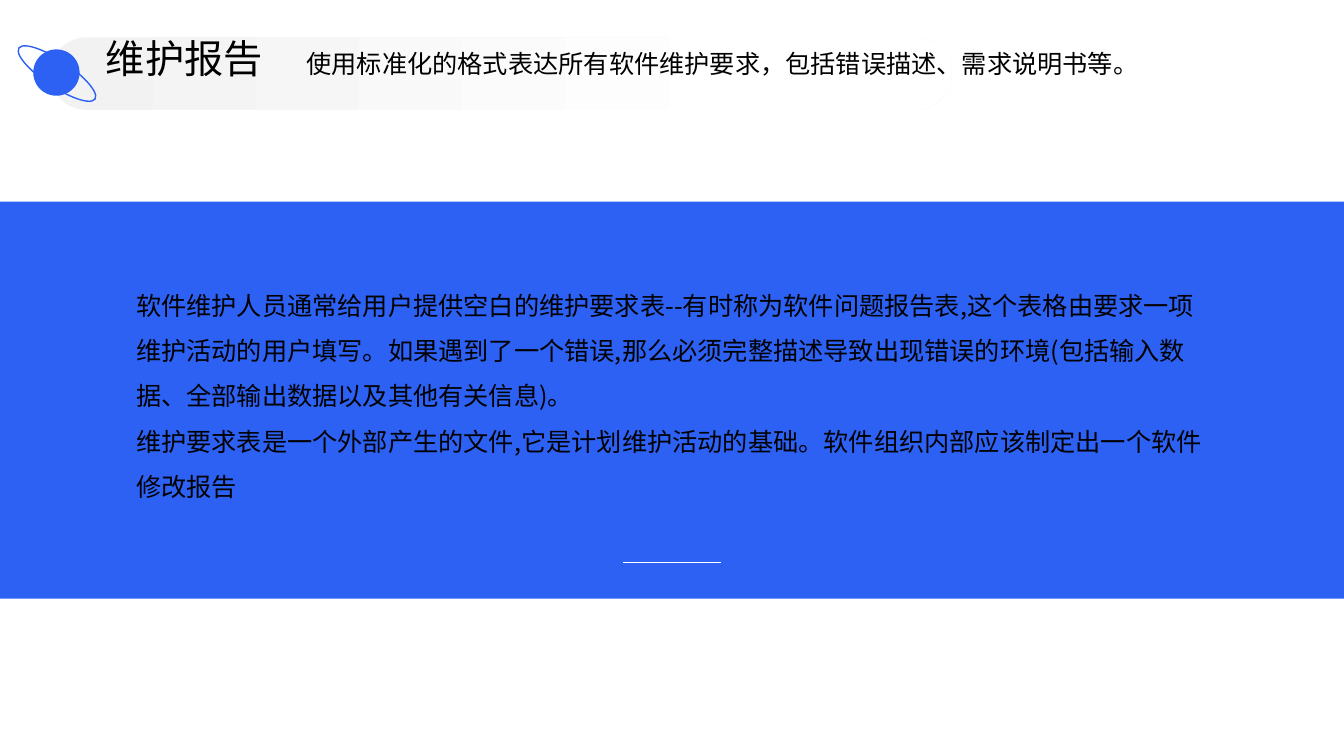
from dataclasses import dataclass

import pptx
import pptx.dml.color
import pptx.enum.shapes
import pptx.enum.text
import pptx.oxml
import pptx.oxml.ns
import pptx.util
from pptx.util import Inches

SHAPE = pptx.enum.shapes.MSO_SHAPE


@dataclass(frozen=True)
class Theme:
    font: str = "Noto Sans CJK SC"
    blue: str = "2C61F4"
    white: str = "FFFFFF"
    pale: str = "F2F2F2"
    ink: str = "000000"
    title_size: int = 28
    body_size: int = 18
    line_width: int = 1


def color(value):
    return pptx.dml.color.RGBColor.from_string(value)


def add_xml(parent, tag, **attributes):
    element = pptx.oxml.parse_xml(f"<a:{tag} {pptx.oxml.ns.nsdecls('a')}/>")
    for name, value in attributes.items():
        element.set(name, str(value))
    parent.append(element)
    return element


class SlideBuilder:
    def __init__(self, presentation, theme):
        self.theme = theme
        self.slide = presentation.slides.add_slide(presentation.slide_layouts[5])

    def shape(self, kind, box, fill=None, line=None, rotation=0):
        shape = self.slide.shapes.add_shape(kind, *map(Inches, box))
        shape.shadow.inherit = False
        shape.rotation = rotation
        if fill:
            shape.fill.solid()
            shape.fill.fore_color.rgb = color(fill)
        else:
            shape.fill.background()
        if line:
            shape.line.color.rgb = color(line)
            shape.line.width = pptx.util.Pt(self.theme.line_width)
        else:
            shape.line.fill.background()
        return shape

    def gradient_pill(self, box, stops):
        pill = self.shape(SHAPE.ROUNDED_RECTANGLE, box)
        pill.adjustments[0] = 0.5
        pill.fill.gradient()
        pill.fill.gradient_angle = 0
        for stop, (position, value) in zip(pill.fill.gradient_stops, stops):
            stop.position = position
            stop.color.rgb = color(value)

    def line(self, start, end, value):
        connector = self.slide.shapes.add_connector(
            pptx.enum.shapes.MSO_CONNECTOR.STRAIGHT, *map(Inches, start + end))
        connector.line.color.rgb = color(value)
        connector.line.width = pptx.util.Pt(self.theme.line_width)
        add_xml(connector.element.spPr, "effectLst")

    def fill_text(self, shape, paragraphs, line_spacing, tab=None):
        frame = shape.text_frame
        frame.word_wrap = True
        frame.auto_size = pptx.enum.text.MSO_AUTO_SIZE.NONE
        frame.vertical_anchor = pptx.enum.text.MSO_ANCHOR.MIDDLE
        frame.margin_left = frame.margin_right = 0
        frame.margin_top = frame.margin_bottom = 0
        for index, runs in enumerate(paragraphs):
            paragraph = frame.add_paragraph() if index else frame.paragraphs[0]
            paragraph.alignment = pptx.enum.text.PP_ALIGN.LEFT
            paragraph.line_spacing = line_spacing
            if tab:
                tabs = add_xml(paragraph._p.get_or_add_pPr(), "tabLst")
                add_xml(tabs, "tab", pos=Inches(tab), algn="l")
            for text, size in runs:
                run = paragraph.add_run()
                run.text = text
                run.font.size = pptx.util.Pt(size)
                run.font.color.rgb = color(self.theme.ink)
                run.font.name = self.theme.font
                add_xml(run._r.get_or_add_rPr(), "ea", typeface=self.theme.font)

    def text(self, box, paragraphs, line_spacing):
        shape = self.slide.shapes.add_textbox(*map(Inches, box))
        self.fill_text(shape, paragraphs, line_spacing)

    def title(self, box, runs, line_spacing, tab):
        title = self.slide.shapes.title
        title.left, title.top, title.width, title.height = map(Inches, box)
        self.fill_text(title, [runs], line_spacing, tab)
        # Bring the title in front of the shapes drawn so far
        title.element.getparent().append(title.element)


def main():
    theme = Theme()
    presentation = pptx.Presentation()
    presentation.slide_width = Inches(13.33)
    presentation.slide_height = Inches(7.5)
    builder = SlideBuilder(presentation, theme)

    # Blue band with body text and a short rule
    builder.shape(SHAPE.RECTANGLE, (0, 2, 13.33, 3.94), fill=theme.blue)
    body = [
        "软件维护人员通常给用户提供空白的维护要求表--有时称为软件问题报告表,"
        "这个表格由要求一项维护活动的用户填写。如果遇到了一个错误,"
        "那么必须完整描述导致出现错误的环境(包括输入数据、全部输出数据以及其他有关信息)。",
        "维护要求表是一个外部产生的文件,它是计划维护活动的基础。"
        "软件组织内部应该制定出一个软件修改报告",
    ]
    builder.text((1.35, 2.29, 10.63, 3.12),
                 [[(text, theme.body_size)] for text in body], 1.5)
    builder.line((6.18, 5.58), (7.15, 5.58), theme.white)

    # Heading on a fading pill
    builder.gradient_pill((0.5, 0.37, 8.94, 0.72),
                          [(0, theme.pale), (0.8, theme.white)])
    builder.title((1.05, 0.24, 11.67, 0.62), [
        ("维护报告\t", theme.title_size),
        ("使用标准化的格式表达所有软件维护要求，包括错误描述、需求说明书等。",
         theme.body_size),
    ], 1.1, tab=1.99)

    # Planet with its ring
    builder.shape(SHAPE.OVAL, (0.33, 0.49, 0.46, 0.46), fill=theme.blue)
    builder.shape(SHAPE.OVAL, (0.11, 0.6, 0.91, 0.26), line=theme.blue, rotation=33.8)

    presentation.save("out.pptx")


if __name__ == "__main__":
    main()
